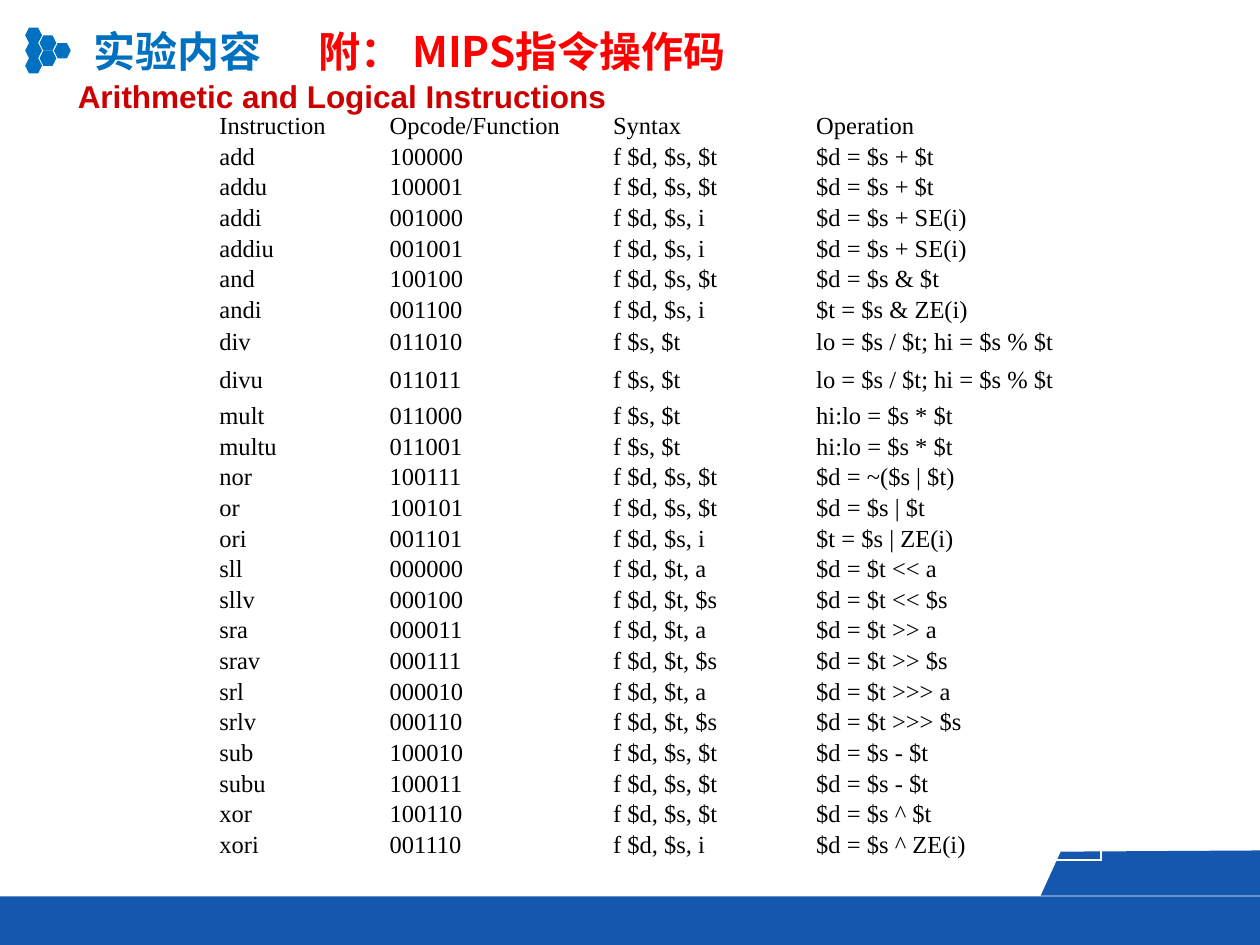
from lxml import etree
from pptx import Presentation
from pptx.dml.color import RGBColor
from pptx.enum.shapes import MSO_SHAPE
from pptx.enum.text import MSO_ANCHOR, MSO_AUTO_SIZE, PP_ALIGN
from pptx.oxml.ns import qn
from pptx.util import Pt

HEX, RECT = MSO_SHAPE.HEXAGON, MSO_SHAPE.RECTANGLE
MIDDLE = MSO_ANCHOR.MIDDLE
LEFT, JUSTIFY = PP_ALIGN.LEFT, PP_ALIGN.JUSTIFY
FIT = MSO_AUTO_SIZE.SHAPE_TO_FIT_TEXT
CJK = "Noto Sans CJK SC"


def rgb(code):
    return RGBColor.from_string(code)


def paint(shape, code):
    shape.shadow.inherit = False
    shape.fill.solid()
    shape.fill.fore_color.rgb = rgb(code)
    shape.line.fill.background()


deck = Presentation()
deck.slide_width, deck.slide_height = Pt(720), Pt(540)
slide = deck.slides.add_slide(deck.slide_layouts[6])
shapes = slide.shapes

# Honeycomb mark: columns of three, two and one cells
mark = shapes.add_group_shape()
for col, count in enumerate((3, 2, 1)):
    for row in range(count):
        top = 15.8 + 4.4 * col + 8.7 * row
        cell = mark.shapes.add_shape(
            HEX, Pt(14.4 + 8.2 * col), Pt(top), Pt(9.6), Pt(8.8))
        paint(cell, "0070C0")

# Footer bar with its raised tab
foot = shapes.add_group_shape()
bar = foot.shapes.add_shape(RECT, 0, Pt(512.2), Pt(720), Pt(27.8))
paint(bar, "1557AE")
pen = foot.shapes.build_freeform(Pt(720), Pt(511.8))
pen.add_line_segments(
    [(Pt(x), Pt(y)) for x, y in ((720, 486), (606.2, 486.7), (594.7, 511.8))])
paint(pen.convert_to_shape(), "1557AE")

# Instruction table
rows = [
    ("Instruction", "Opcode/Function", "Syntax", "Operation"),
    ("add", "100000", "f $d, $s, $t", "$d = $s + $t"),
    ("addu", "100001", "f $d, $s, $t", "$d = $s + $t"),
    ("addi", "001000", "f $d, $s, i", "$d = $s + SE(i)"),
    ("addiu", "001001", "f $d, $s, i", "$d = $s + SE(i)"),
    ("and", "100100", "f $d, $s, $t", "$d = $s & $t"),
    ("andi", "001100", "f $d, $s, i", "$t = $s & ZE(i)"),
    ("div", "011010", "f $s, $t", "lo = $s / $t; hi = $s % $t"),
    ("divu", "011011", "f $s, $t", "lo = $s / $t; hi = $s % $t"),
    ("mult", "011000", "f $s, $t", "hi:lo = $s * $t"),
    ("multu", "011001", "f $s, $t", "hi:lo = $s * $t"),
    ("nor", "100111", "f $d, $s, $t", "$d = ~($s | $t)"),
    ("or", "100101", "f $d, $s, $t", "$d = $s | $t"),
    ("ori", "001101", "f $d, $s, i", "$t = $s | ZE(i)"),
    ("sll", "000000", "f $d, $t, a", "$d = $t << a"),
    ("sllv", "000100", "f $d, $t, $s", "$d = $t << $s"),
    ("sra", "000011", "f $d, $t, a", "$d = $t >> a"),
    ("srav", "000111", "f $d, $t, $s", "$d = $t >> $s"),
    ("srl", "000010", "f $d, $t, a", "$d = $t >>> a"),
    ("srlv", "000110", "f $d, $t, $s", "$d = $t >>> $s"),
    ("sub", "100010", "f $d, $s, $t", "$d = $s - $t"),
    ("subu", "100011", "f $d, $s, $t", "$d = $s - $t"),
    ("xor", "100110", "f $d, $s, $t", "$d = $s ^ $t"),
    ("xori", "001110", "f $d, $s, i", "$d = $s ^ ZE(i)"),
]
widths = (97.3, 127.7, 116.1, 163.4)
tall = {"div": 19.8, "divu": 23.6}
heights = [tall.get(row[0], 17.5) for row in rows]
table = shapes.add_table(len(rows), len(widths), Pt(124.7), Pt(63.4),
                         Pt(sum(widths)), Pt(sum(heights))).table
table.first_row = table.horz_banding = False
for col, width in zip(table.columns, widths):
    col.width = Pt(width)
for r, row in enumerate(rows):
    table.rows[r].height = Pt(heights[r])
    for c, text in enumerate(row):
        cell = table.cell(r, c)
        cell.fill.background()
        cell.vertical_anchor = MIDDLE
        cell.margin_left = cell.margin_right = Pt(0.7)
        cell.margin_top = cell.margin_bottom = Pt(0.7)
        cell.text = text
        font = cell.text_frame.paragraphs[0].font
        font.name, font.size = "Times New Roman", Pt(14)
        font.color.rgb = rgb("000000")

# Headings: place, wrap, alignment, text, font, size, colour
heads = [
    (37.4, 40.3, 319.7, 28.8, False, JUSTIFY,
     "Arithmetic and Logical Instructions", "Arial", 18, "CC0000"),
    (175, 10.8, 282.2, 36, True, LEFT,
     "附： MIPS指令操作码", CJK, 24, "FF0000"),
    (46.1, 10.8, 111.6, 36, False, LEFT, "实验内容", CJK, 24, "0070C0"),
]
for x, y, w, h, wrap, align, text, face, size, code in heads:
    frame = shapes.add_textbox(Pt(x), Pt(y), Pt(w), Pt(h)).text_frame
    frame.word_wrap, frame.auto_size = wrap, FIT
    para = frame.paragraphs[0]
    para.text, para.alignment = text, align
    font = para.font
    font.name, font.size, font.bold = face, Pt(size), True
    font.color.rgb = rgb(code)
    # East Asian letters need their own typeface entry
    props = para._p.pPr.find(qn("a:defRPr"))
    etree.SubElement(props, qn("a:ea"), typeface=face)

deck.save("out.pptx")
